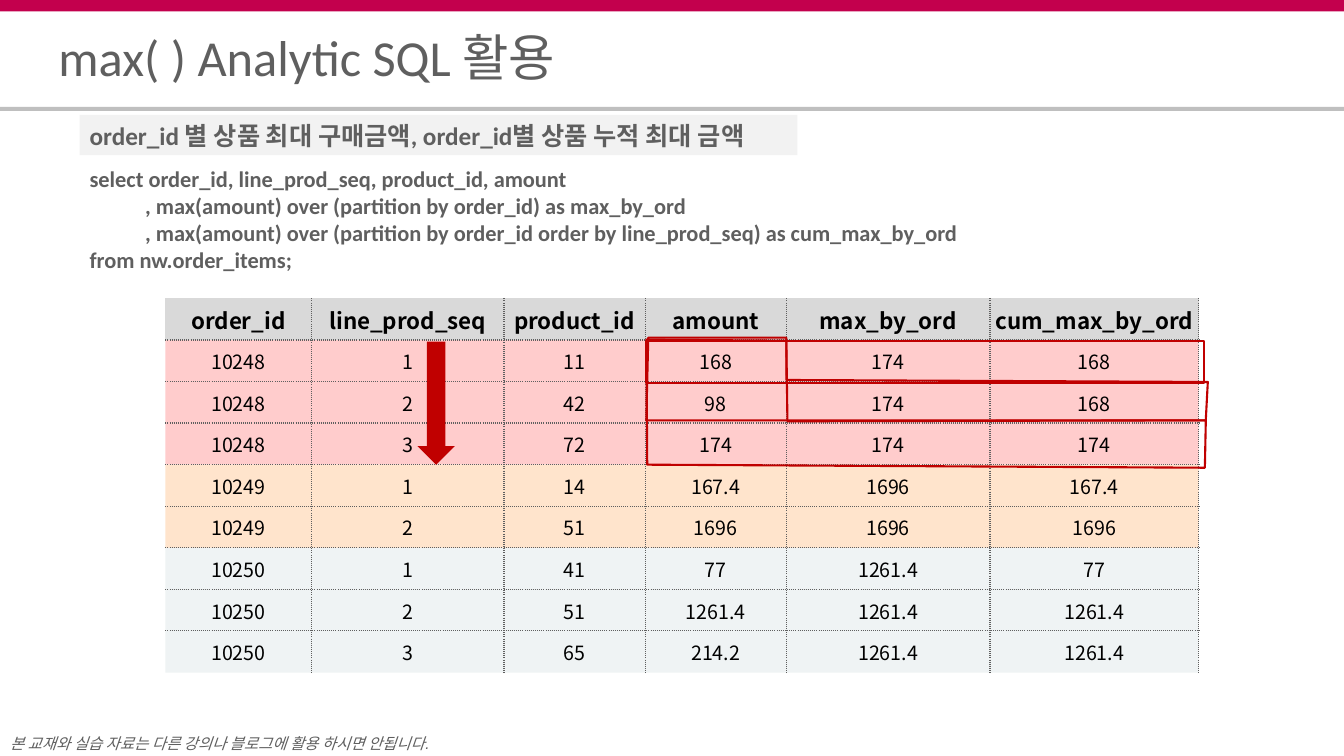
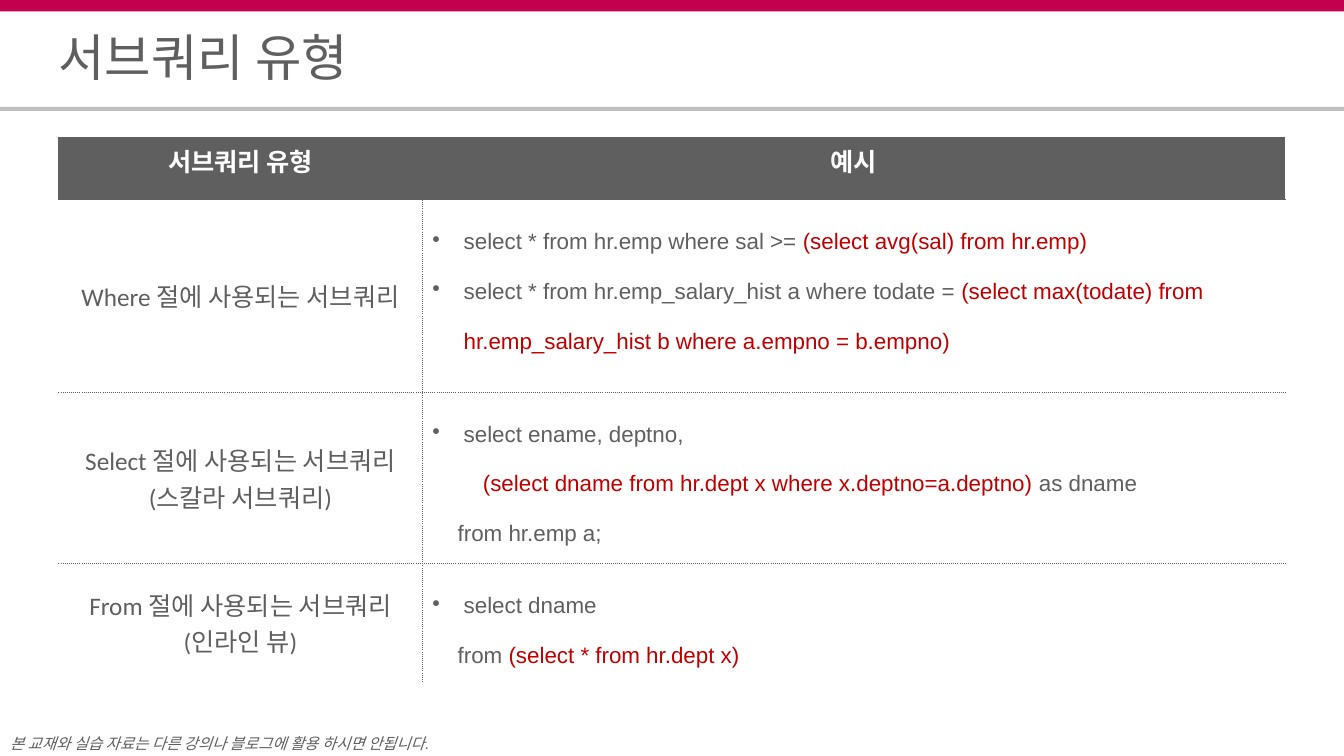
import pptx
import pptx.util
import pptx.dml.color
import pptx.enum.shapes
import pptx.enum.text
import pptx.oxml.ns
import lxml.etree

SHAPE = pptx.enum.shapes.MSO_SHAPE
ALIGN = pptx.enum.text.PP_ALIGN
ANCHOR = pptx.enum.text.MSO_ANCHOR
Pt = pptx.util.Pt
qn = pptx.oxml.ns.qn

C = {"brand": "C3004D", "rule": "BFBFBF", "grey": "5F5F5F", "black": "000000",
     "white": "FFFFFF", "red": "C00000", "caption": "F2F2F2", "header": "D9D9D9",
     "pink": "FFCCCC", "peach": "FFE4CC", "mist": "EFF3F4"}
RGB = {name: pptx.dml.color.RGBColor.from_string(c) for name, c in C.items()}
NO_STYLE = "{2D5ABB26-0587-4C30-8999-92F81FD0307C}"

prs = pptx.Presentation()
prs.slide_width = pptx.util.Inches(13.33)
prs.slide_height = pptx.util.Inches(7.5)


def box(x, y, w=0, h=0):
    """Turn percentages of the slide's width and height into EMU."""
    px, py = prs.slide_width / 100, prs.slide_height / 100
    return [round(v) for v in (x * px, y * py, w * px, h * py)]


def style(p, size, colour="grey", font="Calibri", bold=False, italic=False):
    for r in p.runs:
        r.font.size = Pt(size)
        r.font.name = font
        r.font.bold = bold
        r.font.italic = italic
        r.font.color.rgb = RGB[colour]


# Shared frame: bands, footer, title
for title in ("max( ) Analytic SQL 활용", "서브쿼리 유형"):
    s = prs.slides.add_slide(prs.slide_layouts[6])
    for y, h, colour in ((0, 1.5, "brand"), (14.13, 0.53, "rule")):
        sp = s.shapes.add_shape(SHAPE.RECTANGLE, *box(0, y, 100, h))
        sp.shadow.inherit = False
        sp.fill.solid()
        sp.fill.fore_color.rgb = RGB[colour]
        sp.line.fill.background()
    for text, place, size, font, spacing, anchor in (
            ("본 교재와 실습 자료는 다른 강의나 블로그에 활용 하시면 안됩니다.",
             (0.75, 95.87, 36, 4.13), 11, "Arial", 1.5, ANCHOR.TOP),
            (title, (4.35, 4.4, 91.3, 7.73), 36, "Calibri", 0.8, ANCHOR.MIDDLE)):
        tf = s.shapes.add_textbox(*box(*place)).text_frame
        tf.word_wrap = True
        tf.vertical_anchor = anchor
        tf.margin_left = tf.margin_right = tf.margin_top = tf.margin_bottom = 0
        p = tf.paragraphs[0]
        p.text = text
        p.line_spacing = spacing
        style(p, size, font=font, italic=size == 11)

max_slide, subquery_slide = prs.slides

# Coloured groups of rows behind the order table
LEFT, TOP, ROW = 12.3, 39.47, 5.5
order_cols = [10.88, 14.33, 10.5, 10.5, 15.15, 15.53]
first = 1
for count, colour in ((3, "pink"), (2, "peach"), (3, "mist")):
    sp = max_slide.shapes.add_shape(
        SHAPE.RECTANGLE, *box(LEFT, TOP + first * ROW, sum(order_cols), count * ROW))
    sp.shadow.inherit = False
    sp.fill.solid()
    sp.fill.fore_color.rgb = RGB[colour]
    sp.line.fill.background()
    first += count

# Both tables: grid, dotted inner borders, header fill
tables = []
for s, x, y, cols, rows, header, right_edge in (
        (max_slide, LEFT, TOP, order_cols, [ROW] * 9, "header", True),
        (subquery_slide, 4.35, 18.13, [27.08, 64.22], [8.27, 25.47, 21.2, 14.27],
         "grey", False)):
    tbl = s.shapes.add_table(len(rows), len(cols),
                             *box(x, y, sum(cols), sum(rows))).table
    tbl.first_row = tbl.horz_banding = False
    tbl._tbl.tblPr.find(qn("a:tableStyleId")).text = NO_STYLE
    for col, w in zip(tbl.columns, cols):
        col.width = box(0, 0, w)[2]
    for row, h in zip(tbl.rows, rows):
        row.height = box(0, 0, 0, h)[3]
    for i in range(len(rows)):
        for j in range(len(cols)):
            cell = tbl.cell(i, j)
            tcPr = cell._tc.get_or_add_tcPr()
            for side, shown in (("L", j > 0), ("R", right_edge or j < len(cols) - 1),
                                ("T", i > 0), ("B", i < len(rows) - 1)):
                if shown:
                    ln = lxml.etree.SubElement(tcPr, qn("a:ln" + side), w=str(Pt(1)))
                    fill = lxml.etree.SubElement(ln, qn("a:solidFill"))
                    lxml.etree.SubElement(fill, qn("a:srgbClr"), val=C["grey"])
                    lxml.etree.SubElement(ln, qn("a:prstDash"), val="sysDot")
            if i == 0:
                cell.fill.solid()
                cell.fill.fore_color.rgb = RGB[header]
            else:
                cell.fill.background()
    tables.append(tbl)

order_table, subquery_table = tables

# Slide 1: order table values
orders = [
    ("order_id", "line_prod_seq", "product_id", "amount", "max_by_ord", "cum_max_by_ord"),
    ("10248", "1", "11", "168", "174", "168"),
    ("10248", "2", "42", "98", "174", "168"),
    ("10248", "3", "72", "174", "174", "174"),
    ("10249", "1", "14", "167.4", "1696", "167.4"),
    ("10249", "2", "51", "1696", "1696", "1696"),
    ("10250", "1", "41", "77", "1261.4", "77"),
    ("10250", "2", "51", "1261.4", "1261.4", "1261.4"),
    ("10250", "3", "65", "214.2", "1261.4", "1261.4"),
]
for i, values in enumerate(orders):
    for j, value in enumerate(values):
        cell = order_table.cell(i, j)
        cell.vertical_anchor = ANCHOR.MIDDLE
        cell.margin_left = cell.margin_right = cell.margin_top = Pt(0.72)
        cell.margin_bottom = 0
        p = cell.text_frame.paragraphs[0]
        p.text = value
        p.alignment = ALIGN.CENTER
        style(p, 14 if i else 16, "black", "Noto Sans CJK KR", bold=i == 0)

# Slide 1: query and caption
query = """select order_id, line_prod_seq, product_id, amount
           , max(amount) over (partition by order_id) as max_by_ord
           , max(amount) over (partition by order_id order by line_prod_seq) as cum_max_by_ord
from nw.order_items;"""
tf = max_slide.shapes.add_textbox(*box(5.93, 21.2, 84.17, 15.73)).text_frame
tf.word_wrap = True
tf.text = query
for p in tf.paragraphs:
    style(p, 16, bold=True)

sp = max_slide.shapes.add_shape(SHAPE.RECTANGLE, *box(5.93, 15.2, 53.41, 5.33))
sp.shadow.inherit = False
sp.fill.solid()
sp.fill.fore_color.rgb = RGB["caption"]
sp.line.fill.background()
tf = sp.text_frame
tf.word_wrap = True
tf.vertical_anchor = ANCHOR.MIDDLE
tf.text = "order_id 별 상품 최대 구매금액, order_id별 상품 누적 최대 금액"
tf.paragraphs[0].alignment = ALIGN.LEFT
style(tf.paragraphs[0], 18, bold=True)

# Slide 1: reading direction and the growing window of rows
sp = max_slide.shapes.add_shape(SHAPE.DOWN_ARROW, *box(31.06, 45.2, 2.78, 16.27))
sp.shadow.inherit = False
sp.fill.solid()
sp.fill.fore_color.rgb = RGB["red"]
sp.line.fill.background()

windows = [max_slide.shapes.add_shape(SHAPE.RECTANGLE, *box(48.09, 45.07, 41.49, 5.6))]
for outline in (
        [(48.09, 55.6), (48.24, 44.67), (58.51, 44.67), (58.51, 50.27),
         (89.87, 50.53), (89.72, 55.6)],
        [(48.16, 61.47), (48.09, 44.93), (58.51, 45.07), (58.59, 55.73),
         (89.72, 55.6), (89.65, 61.87)]):
    points = [box(*point)[:2] for point in outline]
    builder = max_slide.shapes.build_freeform(*points[0])
    builder.add_line_segments(points[1:], close=True)
    windows.append(builder.convert_to_shape())
for sp in windows:
    sp.shadow.inherit = False
    sp.fill.background()
    sp.line.color.rgb = RGB["red"]
    sp.line.width = Pt(1.5)

# Slide 2: header and kinds of subquery
labels = [("서브쿼리 유형", "예시"), ("Where 절에 사용되는 서브쿼리",),
          ("Select 절에 사용되는 서브쿼리\n(스칼라 서브쿼리)",),
          ("From 절에 사용되는 서브쿼리\n(인라인 뷰)",)]
for i, texts in enumerate(labels):
    for j, text in enumerate(texts):
        cell = subquery_table.cell(i, j)
        cell.vertical_anchor = ANCHOR.MIDDLE if i else ANCHOR.TOP
        cell.text_frame.text = text
        for p in cell.text_frame.paragraphs:
            p.alignment = ALIGN.CENTER
            style(p, 18, "grey" if i else "white", bold=i == 0)

# Slide 2: examples as (left indent in inches, plain, subquery, plain); 0.31 has a bullet
BULLET = 0.31
examples = [
    [(BULLET, "select * from hr.emp where sal >= ", "(select avg(sal) from hr.emp)", ""),
     (BULLET, "select * from hr.emp_salary_hist a where todate = ",
      "(select max(todate) from hr.emp_salary_hist b where a.empno = b.empno)", "")],
    [(BULLET, "select ename, deptno,", "", ""),
     (0.5, "", "(select dname from hr.dept x where x.deptno=a.deptno) ", "as dname"),
     (0.25, "from hr.emp a;", "", "")],
    [(BULLET, "select dname", "", ""),
     (0.25, "from ", "(select * from hr.dept x)", "")],
]
for i, lines in enumerate(examples, start=1):
    tf = subquery_table.cell(i, 1).text_frame
    for n, (indent, *parts) in enumerate(lines):
        p = tf.add_paragraph() if n else tf.paragraphs[0]
        p.line_spacing = 2.0
        pPr = p._p.get_or_add_pPr()
        pPr.set("marL", str(pptx.util.Inches(indent)))
        if indent == BULLET:
            pPr.set("indent", str(-pptx.util.Inches(indent)))
            lxml.etree.SubElement(pPr, qn("a:buChar"), char="•")
        for part in filter(None, parts):
            p.add_run().text = part
        style(p, 16, font="Arial")
        for r in p.runs:
            if r.text.startswith("("):
                r.font.color.rgb = RGB["red"]

prs.save("out.pptx")
